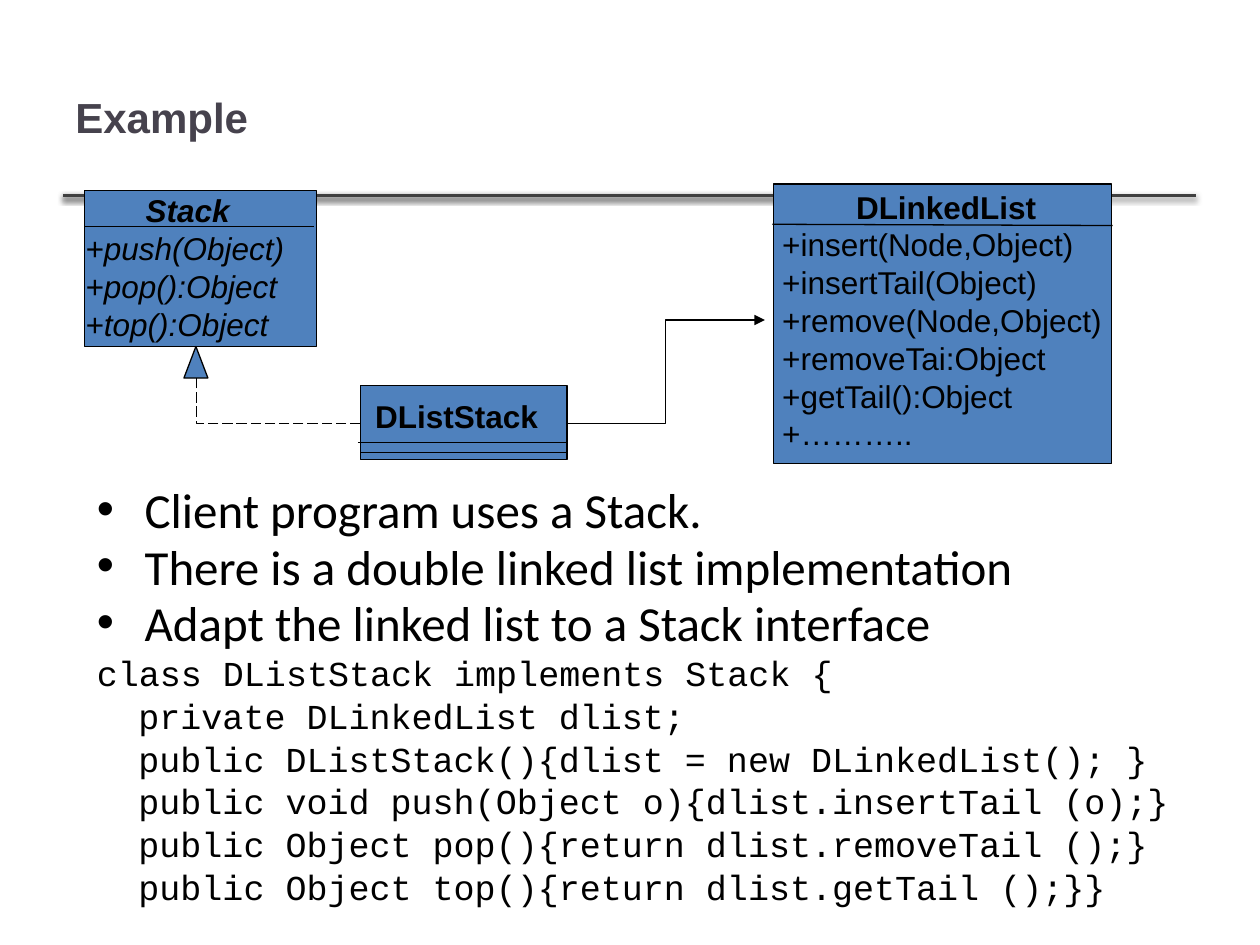
from pptx import Presentation
from pptx.dml.color import RGBColor
from pptx.enum.dml import MSO_LINE
from pptx.enum.shapes import MSO_CONNECTOR as LINK, MSO_SHAPE as SHAPE
from pptx.enum.text import MSO_ANCHOR as ANCHOR, PP_ALIGN as ALIGN
from pptx.oxml.ns import qn
from pptx.util import Inches, Pt
from lxml import etree

BLACK, BLUE, RULE, TITLE = "000000", "4F81BD", "404040", "46424D"
NAME = {"name": "Arial", "size": Pt(18), "bold": True}
MEMBER = {**NAME, "bold": False}
BULLET = {"name": "Calibri", "size": Pt(28)}
CODE = {"name": "Courier New", "size": Pt(20)}


def color(value):
    return RGBColor.from_string(value)


def add_line(slide, start, end, kind=LINK.STRAIGHT, tint=BLACK, width=0.75):
    link = slide.shapes.add_connector(kind, *map(Inches, (*start, *end)))
    link.line.color.rgb = color(tint)
    link.line.width = Pt(width)
    etree.SubElement(link._element.spPr, qn("a:effectLst"))
    return link


def add_block(slide, preset, box):
    block = slide.shapes.add_shape(preset, *map(Inches, box))
    block.shadow.inherit = False
    block.fill.solid()
    block.fill.fore_color.rgb = color(BLUE)
    block.line.color.rgb = color(BLACK)
    block.line.width = Pt(0.75)


def add_frame(slide, box, anchor=ANCHOR.TOP):
    frame = slide.shapes.add_textbox(*map(Inches, box)).text_frame
    frame.word_wrap = True
    frame.vertical_anchor = anchor
    return frame


def add_paragraph(frame, text, style, tint=BLACK, align=ALIGN.LEFT):
    first = frame.paragraphs[0]
    paragraph = first if not first.runs else frame.add_paragraph()
    paragraph.alignment = align
    run = paragraph.add_run()
    run.text = text
    run.font.color.rgb = color(tint)
    for key, value in style.items():
        setattr(run.font, key, value)
    return paragraph


def add_header(slide, left, top, width, height):
    for right in (8.49, 9.49):
        rule = add_line(slide, (left, top + height), (right, top + height), tint=RULE, width=2)
        effects = rule._element.spPr.find(qn("a:effectLst"))
        shadow = etree.SubElement(effects, qn("a:outerShdw"), blurRad=str(Pt(3.1)),
                                  dist=str(Pt(1.6)), dir="5400000", rotWithShape="0")
        shade = etree.SubElement(shadow, qn("a:srgbClr"), val=BLACK)
        etree.SubElement(shade, qn("a:alpha"), val="38000")
    frame = add_frame(slide, (left, top, width, height), ANCHOR.MIDDLE)
    add_paragraph(frame, "Example", {**NAME, "size": Pt(24)}, TITLE)


def add_class(slide, box, text_box, dividers, name, members=(), italic=False,
              name_align=ALIGN.CENTER):
    """Draw a UML class; text box and dividers are offsets from the box's corner."""
    left, top = box[:2]
    add_block(slide, SHAPE.RECTANGLE, box)
    dx, dy, width, height = text_box
    frame = add_frame(slide, (left + dx, top + dy, width, height))
    add_paragraph(frame, name, {**NAME, "italic": italic}, align=name_align)
    for member in members:
        add_paragraph(frame, member, {**MEMBER, "italic": italic})
    for x1, y1, x2, y2 in dividers:
        add_line(slide, (left + x1, top + y1), (left + x2, top + y2))


def add_relations(slide, stack_foot, adapter_left, adapter_right, list_side):
    """Link the adapter to the interface it implements and the list it uses."""
    x, y = stack_foot
    add_block(slide, SHAPE.ISOSCELES_TRIANGLE, (x - 0.1, y, 0.19, 0.25))
    implements = add_line(slide, adapter_left, (x, y + 0.25), LINK.ELBOW)
    implements._element.spPr.find(qn("a:prstGeom")).set("prst", "bentConnector2")
    implements.line.dash_style = MSO_LINE.LONG_DASH
    uses = add_line(slide, adapter_right, list_side, LINK.ELBOW)
    etree.SubElement(uses.line._get_or_add_ln(), qn("a:tailEnd"), type="triangle")


def add_body(slide, box, bullets, code):
    frame = add_frame(slide, box)
    for text in bullets:
        props = add_paragraph(frame, text, BULLET)._p.get_or_add_pPr()
        props.set("marL", str(Inches(0.38)))
        props.set("indent", str(Inches(-0.38)))
        etree.SubElement(props, qn("a:buFont"), typeface="Arial")
        etree.SubElement(props, qn("a:buChar"), char="•")
    for index, text in enumerate(code):
        props = add_paragraph(frame, text, CODE)._p.get_or_add_pPr()
        props.set("marL", str(Inches(0.33 if index else 0)))
    for paragraph in frame.paragraphs:
        paragraph.line_spacing = 0.8
        paragraph.space_before = Pt(5.2)


def main():
    deck = Presentation()
    deck.slide_width, deck.slide_height = Inches(10), Inches(7.5)
    slide = deck.slides.add_slide(deck.slide_layouts[6])

    add_header(slide, 0.5, 0.3, 7.98, 1.25)
    add_body(slide, (0.67, 3.85, 9.05, 3.46),
             ["Client program uses a Stack.",
              "There is a double linked list implementation",
              "Adapt the linked list to a Stack interface"],
             ["class DListStack implements Stack {",
              "private DLinkedList dlist;",
              "public DListStack(){dlist = new DLinkedList(); }",
              "public void push(Object o){dlist.insertTail (o);}",
              "public Object pop(){return dlist.removeTail ();}",
              "public Object top(){return dlist.getTail ();}}"])
    add_class(slide, (0.67, 1.51, 1.84, 1.24), (-0.09, -0.04, 1.82, 1.3),
              [(0, 0.29, 1.82, 0.29)], "Stack",
              ["+push(Object)", "+pop():Object", "+top():Object"], italic=True)
    add_class(slide, (6.14, 1.46, 2.68, 2.22), (-0.03, -0.02, 2.8, 2.2),
              [(-0.01, 0.32, 2.69, 0.33)], "DLinkedList",
              ["+insert(Node,Object)", "+insertTail(Object)", "+remove(Node,Object)",
               "+removeTai:Object", "+getTail():Object", "+……….."])
    add_class(slide, (2.86, 3.06, 1.64, 0.59), (0.02, 0.04, 1.6, 0.4),
              [(-0.02, 0.45, 1.63, 0.45), (0, 0.53, 1.65, 0.53)], "DListStack",
              name_align=ALIGN.LEFT)
    add_relations(slide, (1.56, 2.75), (2.86, 3.36), (4.49, 3.36), (6.07, 2.54))

    deck.save("out.pptx")


if __name__ == "__main__":
    main()
